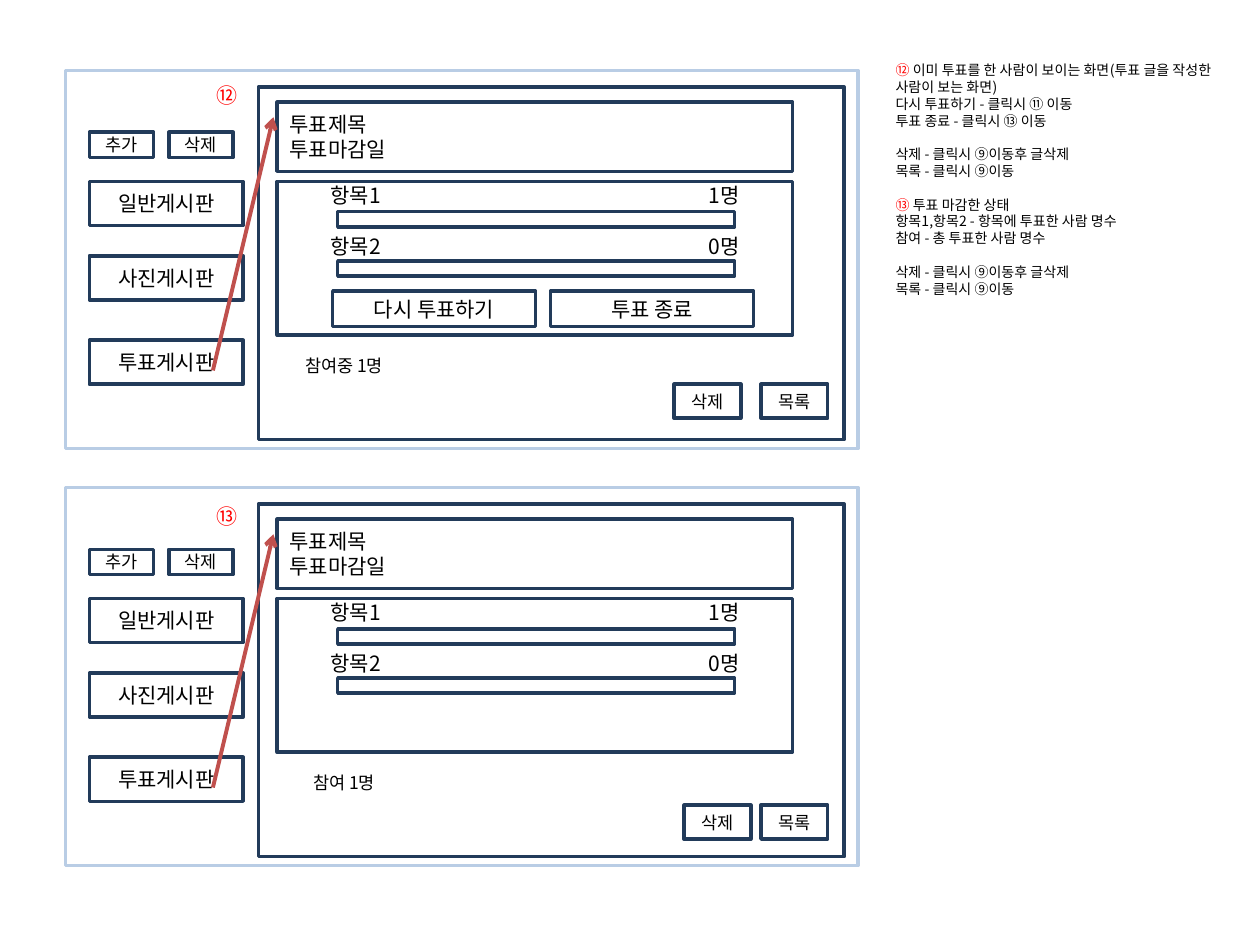
import pptx
import pptx.util
import pptx.dml.color
import pptx.enum.shapes
import pptx.enum.text
import pptx.oxml
import pptx.oxml.ns
from pptx.util import Inches

RGBColor = pptx.dml.color.RGBColor
ALIGN = pptx.enum.text.PP_ALIGN
ANCHOR = pptx.enum.text.MSO_ANCHOR

WHITE = RGBColor(0xFF, 0xFF, 0xFF)
BLACK = RGBColor(0x00, 0x00, 0x00)
RED = RGBColor(0xFF, 0x00, 0x00)
NAVY = RGBColor(0x22, 0x3B, 0x5A)
PALE_BLUE = RGBColor(0xB9, 0xCD, 0xE5)
BRICK = RGBColor(0xC0, 0x50, 0x4D)

FONT = "Noto Sans CJK KR"
LINE_RATIO = 1.2
SCREEN_STEP = 3.31

NOTES = [
    [
        [("⑫ ", RED), ("이미 투표를 한 사람이 보이는 화면(투표 글을 작성한 사람이 보는 화면)", BLACK)],
        [("다시 투표하기 - 클릭시 ⑪ 이동", BLACK)],
        [("투표 종료 - 클릭시 ⑬ 이동", BLACK)],
    ],
    [
        [("삭제 - 클릭시 ⑨이동후 글삭제", BLACK)],
        [("목록 - 클릭시 ⑨이동", BLACK)],
    ],
    [
        [("⑬ ", RED), ("투표 마감한 상태", BLACK)],
        [("항목1,항목2 - 항목에 투표한 사람 명수", BLACK)],
        [("참여 - 총 투표한 사람 명수", BLACK)],
    ],
    [
        [("삭제 - 클릭시 ⑨이동후 글삭제", BLACK)],
        [("목록 - 클릭시 ⑨이동", BLACK)],
    ],
]


def write_paragraph(frame, index, runs, size, align=ALIGN.LEFT, gap=0, tab=None):
    paragraph = frame.paragraphs[0] if index == 0 else frame.add_paragraph()
    if tab:
        stops = pptx.oxml.parse_xml(
            f'<a:tabLst {pptx.oxml.ns.nsdecls("a")}>'
            f'<a:tab pos="{Inches(tab)}" algn="l"/></a:tabLst>')
        paragraph._p.get_or_add_pPr().append(stops)
    paragraph.alignment = align
    paragraph.line_spacing = pptx.util.Pt(size * LINE_RATIO)
    if gap:
        paragraph.space_before = pptx.util.Pt(gap)
    for words, color in runs:
        run = paragraph.add_run()
        run.text = words
        run.font.size = pptx.util.Pt(size)
        run.font.name = FONT
        run.font.color.rgb = color
        east_asian = pptx.oxml.parse_xml(
            f'<a:ea {pptx.oxml.ns.nsdecls("a")} typeface="{FONT}"/>')
        run.font._element.append(east_asian)


def add_box(slide, left, top, width, height, lines=(), size=12,
            align=ALIGN.CENTER, border=NAVY, filled=True):
    box = slide.shapes.add_shape(
        pptx.enum.shapes.MSO_SHAPE.RECTANGLE,
        Inches(left), Inches(top), Inches(width), Inches(height))
    box.shadow.inherit = False
    if filled:
        box.fill.solid()
        box.fill.fore_color.rgb = WHITE
    else:
        box.fill.background()
    box.line.color.rgb = border
    box.line.width = pptx.util.Pt(2)
    box.text_frame.vertical_anchor = ANCHOR.MIDDLE
    for index, words in enumerate(lines):
        write_paragraph(box.text_frame, index, [(words, BLACK)], size, align)
    return box


def add_items_panel(slide, top):
    panel = add_box(slide, 2.2, top + 0.88, 4.09, 1.22)
    frame = panel.text_frame
    frame.vertical_anchor = ANCHOR.TOP
    frame.margin_top = Inches(0.01)
    for index, words in enumerate(["항목1\t1명", "항목2\t0명"]):
        write_paragraph(frame, index, [(words, BLACK)], 12, ALIGN.CENTER,
                        gap=12 * LINE_RATIO * index, tab=3)
        add_box(slide, 2.68, top + 1.12 + 0.39 * index, 3.15, 0.12)


def add_arrow(slide, start, end):
    arrow = slide.shapes.add_connector(
        pptx.enum.shapes.MSO_CONNECTOR.STRAIGHT,
        *[Inches(value) for value in (*start, *end)])
    arrow.line.color.rgb = BRICK
    arrow.line.width = pptx.util.Pt(2.25)
    namespace = pptx.oxml.ns.nsdecls("a")
    arrow.line._get_or_add_ln().append(
        pptx.oxml.parse_xml(f'<a:tailEnd {namespace} type="arrow"/>'))
    arrow._element.spPr.append(pptx.oxml.parse_xml(f"<a:effectLst {namespace}/>"))


def add_label(slide, left, top, width, height, wrap):
    label = slide.shapes.add_textbox(
        Inches(left), Inches(top), Inches(width), Inches(height))
    label.text_frame.word_wrap = wrap
    label.text_frame.auto_size = pptx.enum.text.MSO_AUTO_SIZE.SHAPE_TO_FIT_TEXT
    return label.text_frame


def add_screen(slide, top, marker, marker_top, turnout, delete_left, buttons_top, actions):
    add_box(slide, 0.52, top, 6.29, 3, border=PALE_BLUE, filled=False)
    for left, words in [(0.71, "추가"), (1.34, "삭제")]:
        add_box(slide, left, top + 0.49, 0.51, 0.2, [words], 10)
    for offset, board in [(0.88, "일반게시판"), (1.47, "사진게시판"), (2.14, "투표게시판")]:
        add_box(slide, 0.71, top + offset, 1.22, 0.35, [board])

    add_box(slide, 2.05, top + 0.13, 4.65, 2.8)
    add_box(slide, 2.2, top + 0.25, 4.09, 0.55, ["투표제목", "투표마감일"], align=ALIGN.LEFT)
    for left, words in [(delete_left, "삭제"), (6.04, "목록")]:
        add_box(slide, left, buttons_top, 0.53, 0.27, [words], 10)
    add_arrow(slide, (1.69, top + 2.38), (2.17, top + 0.37))
    write_paragraph(add_label(slide, 1.62, marker_top, 0.36, 0.3, False),
                    0, [(marker, RED)], 12)

    add_items_panel(slide, top)
    for index, action in enumerate(actions):
        add_box(slide, 2.64 + 1.73 * index, top + 1.75, 1.61, 0.28, [action])
    add_box(slide, 2.24, top + 2.22, 0.98, 0.24, [turnout], 10, border=WHITE)


def add_notes(slide):
    frame = add_label(slide, 7.01, 0.44, 2.76, 2.1, True)
    index = 0
    for group in NOTES:
        for position, runs in enumerate(group):
            gap = 8 * LINE_RATIO if index and position == 0 else 0
            write_paragraph(frame, index, runs, 8, gap=gap)
            index += 1


def main():
    deck = pptx.Presentation()
    deck.slide_width, deck.slide_height = Inches(10), Inches(7.5)
    slide = deck.slides.add_slide(deck.slide_layouts[6])
    add_screen(slide, 0.56, "⑫", 0.61, "참여중 1명", 5.35, 3.05,
               ["다시 투표하기", "투표 종료"])
    add_notes(slide)
    add_screen(slide, 0.56 + SCREEN_STEP, "⑬", 3.95, "참여 1명", 5.43, 6.39, [])
    deck.save("out.pptx")


if __name__ == "__main__":
    main()
